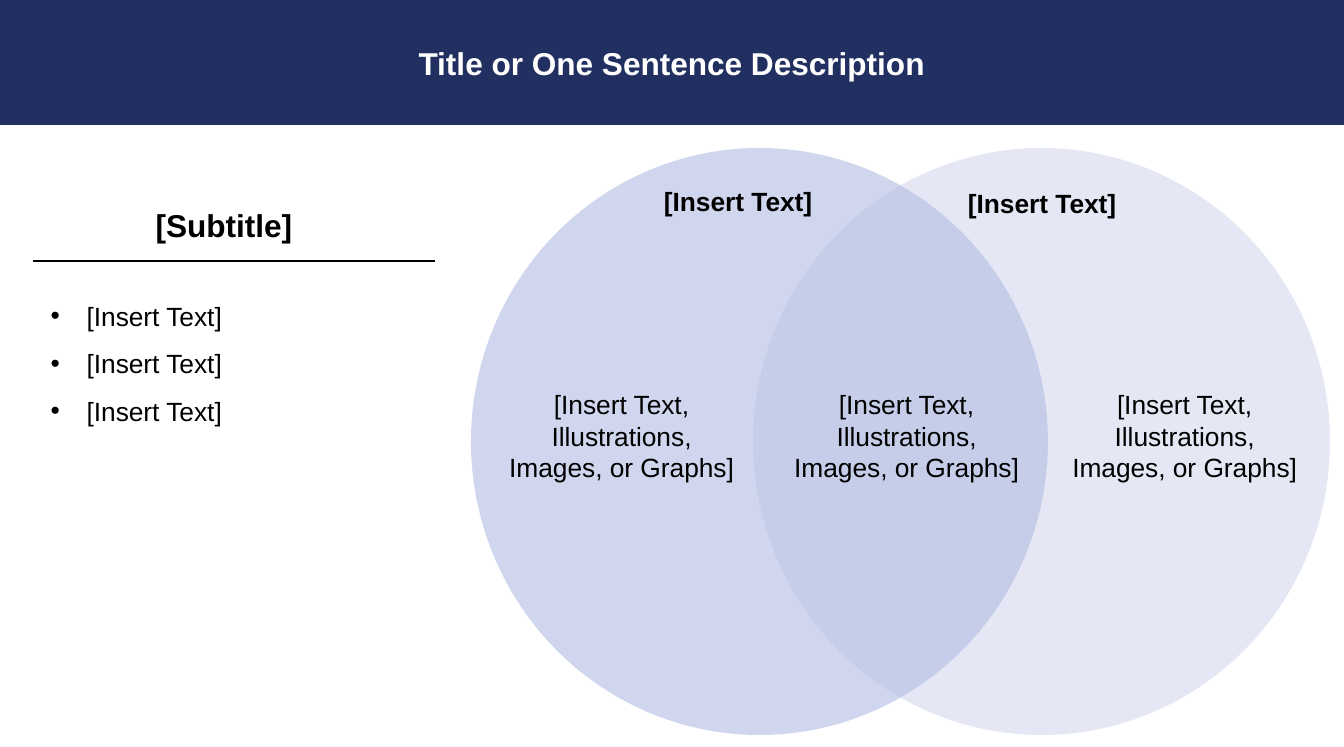
import pptx
import pptx.dml.color
import pptx.enum.shapes
import pptx.enum.text
import pptx.oxml
import pptx.oxml.ns
import pptx.util

EMU_PER_PIXEL = 914400 / 189.6
FONT = "Arial"
BLACK = "000000"
CENTER = pptx.enum.text.PP_ALIGN.CENTER
LEFT = pptx.enum.text.PP_ALIGN.LEFT
SHAPES = pptx.enum.shapes.MSO_SHAPE


def pixels(*lengths):
    """Turn pixel lengths into a list of EMU lengths."""
    return [pptx.util.Emu(round(length * EMU_PER_PIXEL)) for length in lengths]


def color(hex_string):
    """Turn a hex string into a colour."""
    return pptx.dml.color.RGBColor.from_string(hex_string)


def add_xml(parent, tag, **attributes):
    """Append a drawing element with attributes to its parent."""
    namespace = pptx.oxml.ns.nsdecls("a")
    element = pptx.oxml.parse_xml(f"<a:{tag} {namespace}/>")
    for name, value in attributes.items():
        element.set(name, str(value))
    parent.append(element)


def add_filled_shape(slide, kind, box, fill, opacity=100):
    """Add a borderless preset shape with a solid fill."""
    shape = slide.shapes.add_shape(kind, *pixels(*box))
    shape.shadow.inherit = False
    shape.line.fill.background()
    shape.fill.solid()
    shape.fill.fore_color.rgb = color(fill)
    if opacity < 100:
        solid_fill = shape.element.spPr.find(pptx.oxml.ns.qn("a:solidFill"))
        add_xml(solid_fill[0], "alpha", val=opacity * 1000)
    return shape


def write_paragraph(paragraph, text, size, bold=False, font_color=BLACK, alignment=CENTER):
    """Write one run into a paragraph."""
    paragraph.alignment = alignment
    run = paragraph.add_run()
    run.text = text
    run.font.name = FONT
    run.font.size = pptx.util.Pt(size)
    run.font.bold = bold
    run.font.color.rgb = color(font_color)


def add_text_frame(slide, box):
    """Add a wrapping text box and return its text frame."""
    text_frame = slide.shapes.add_textbox(*pixels(*box)).text_frame
    text_frame.word_wrap = True
    text_frame.auto_size = pptx.enum.text.MSO_AUTO_SIZE.SHAPE_TO_FIT_TEXT
    return text_frame


def add_label(slide, box, text, size=10, bold=False):
    """Add a centred one-paragraph text box."""
    write_paragraph(add_text_frame(slide, box).paragraphs[0], text, size, bold)


def add_bullets(slide, box, items, indent=36):
    """Add a bulleted list with one and a half line spacing."""
    text_frame = add_text_frame(slide, box)
    margin = pixels(indent)[0]
    for index, item in enumerate(items):
        paragraph = text_frame.add_paragraph() if index else text_frame.paragraphs[0]
        write_paragraph(paragraph, item, 10, alignment=LEFT)
        paragraph.line_spacing = 1.5
        properties = paragraph._p.get_or_add_pPr()
        properties.set("marL", str(margin))
        properties.set("indent", str(-margin))
        add_xml(properties, "buFont", typeface=FONT)
        add_xml(properties, "buChar", char="•")


def add_rule(slide, left, right, top):
    """Add a thin horizontal black line."""
    connector = slide.shapes.add_connector(
        pptx.enum.shapes.MSO_CONNECTOR.STRAIGHT, *pixels(left, top, right, top))
    connector.line.color.rgb = color(BLACK)
    connector.line.width = pptx.util.Pt(0.5)
    add_xml(connector.element.spPr, "effectLst")


def add_title_band(slide, box, text):
    """Add the dark band that carries the title."""
    band = add_filled_shape(slide, SHAPES.RECTANGLE, box, "223061")
    band.text_frame.word_wrap = True
    band.text_frame.vertical_anchor = pptx.enum.text.MSO_ANCHOR.MIDDLE
    write_paragraph(band.text_frame.paragraphs[0], text, 12, True, "FFFFFF")


def main():
    """Build the Venn diagram slide and save it."""
    presentation = pptx.Presentation()
    presentation.slide_width, presentation.slide_height = pixels(1344, 747)
    slide = presentation.slides.add_slide(presentation.slide_layouts[6])

    for left, fill in ((753, "D5D9EE"), (471, "B2BCE2")):
        add_filled_shape(slide, SHAPES.OVAL, (left, 148, 577, 587), fill, 60)
    for left, top in ((576, 176), (880, 178)):
        add_label(slide, (left, top, 324, 51), "[Insert Text]", bold=True)
    for left in (1048, 770, 485):
        add_label(slide, (left, 379, 273, 116), "[Insert Text, Illustrations, Images, or Graphs]")

    add_bullets(slide, (32, 275, 402, 252), ["[Insert Text]"] * 3)
    add_label(slide, (23, 197, 402, 57), "[Subtitle]", size=12, bold=True)
    add_rule(slide, 33, 435, 261)
    add_title_band(slide, (0, 0, 1344, 125), "Title or One Sentence Description")
    presentation.save("out.pptx")


main()
